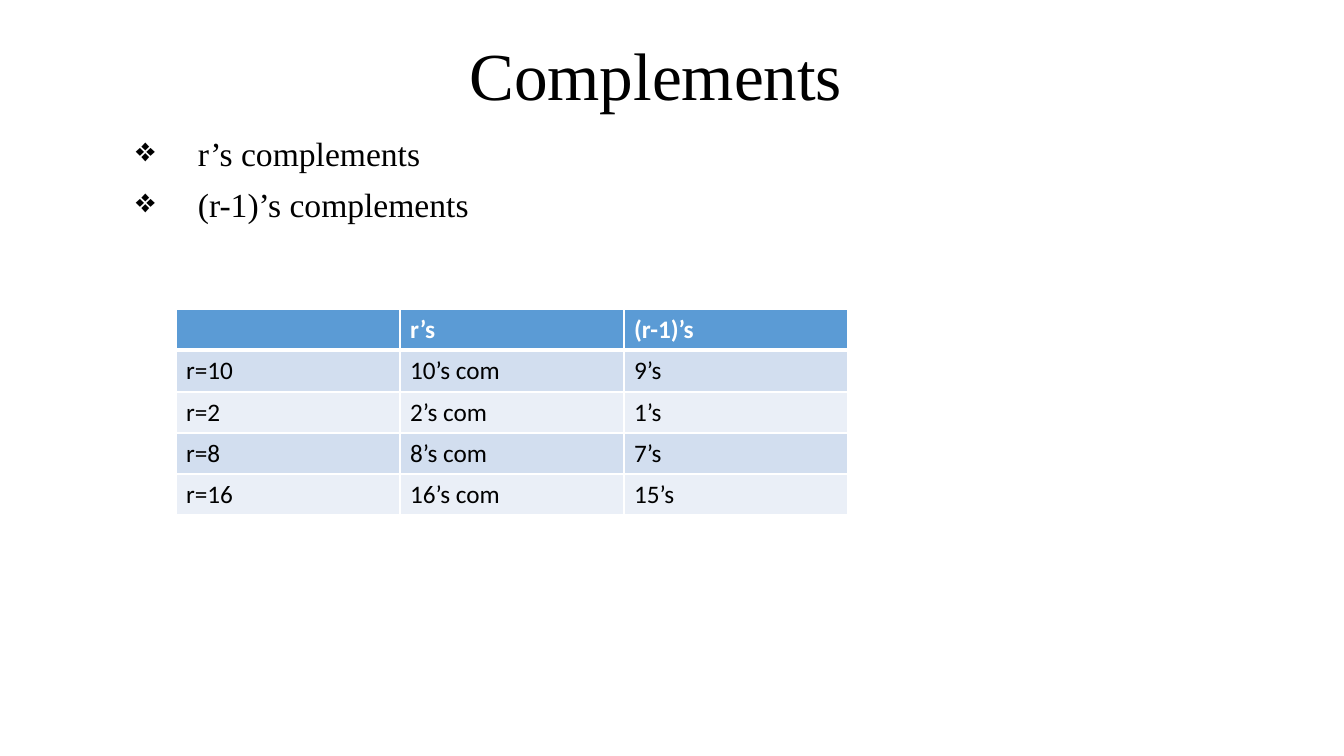
from pptx import Presentation
from pptx.dml.color import RGBColor
from pptx.enum.text import MSO_ANCHOR, PP_ALIGN
from pptx.oxml import parse_xml
from pptx.oxml.ns import nsdecls
from pptx.util import Pt

PX = 914400 / 100.8


def px(length):
    return round(length * PX)


def style(paragraph, font_name, size, color, bold=False):
    font = paragraph.font
    font.name, font.size, font.bold = font_name, Pt(size), bold
    font.color.rgb = RGBColor.from_string(color)


prs = Presentation()
prs.slide_width, prs.slide_height = px(1344), px(756)
slide = prs.slides.add_slide(prs.slide_layouts[6])

# Title
title = slide.shapes.add_textbox(px(152), px(49), px(1008), px(71)).text_frame
title.word_wrap = True
title.vertical_anchor = MSO_ANCHOR.BOTTOM
heading = title.paragraphs[0]
heading.text = "Complements"
heading.alignment = PP_ALIGN.CENTER
heading.line_spacing = 0.9
style(heading, "Times New Roman", 48, "000000")

# Kinds of complement
kinds = slide.shapes.add_textbox(px(126), px(133), px(1108), px(571)).text_frame
kinds.word_wrap = True
for i, text in enumerate(["r’s complements", "(r-1)’s complements"]):
    kind = kinds.add_paragraph() if i else kinds.paragraphs[0]
    kind.text = text
    kind.alignment = PP_ALIGN.JUSTIFY
    kind.line_spacing = 0.9
    if i:
        kind.space_before = Pt(10)
    properties = kind._p.get_or_add_pPr()
    properties.set("marL", str(px(62)))
    properties.set("indent", str(px(-62)))
    properties.append(parse_xml(f'<a:buChar {nsdecls("a")} char="❖"/>'))
    style(kind, "Times New Roman", 24, "000000")

# Complements by radix
radix_rows = [
    ["", "r’s", "(r-1)’s"],
    ["r=10", "10’s com", "9’s"],
    ["r=2", "2’s com", "1’s"],
    ["r=8", "8’s com", "7’s"],
    ["r=16", "16’s com", "15’s"],
]
radix_table = slide.shapes.add_table(5, 3, px(176), px(309), px(672), px(206)).table
for column in radix_table.columns:
    column.width = px(224)
for row, height in zip(radix_table.rows, [41, 42, 41, 41, 41]):
    row.height = px(height)

for r, values in enumerate(radix_rows):
    header = r == 0
    fill = "5B9BD5" if header else ("EAEFF7", "D2DEEF")[r % 2]
    widths = {"L": 1, "R": 1, "T": 3 if r == 1 else 1, "B": 3 if header else 1}
    for c, value in enumerate(values):
        cell = radix_table.cell(r, c)
        cell.text = value
        style(cell.text_frame.paragraphs[0], "Calibri", 18,
              "FFFFFF" if header else "000000", header)
        # Borders come before the fill in the cell properties
        borders = cell._tc.get_or_add_tcPr()
        for side, width in widths.items():
            borders.append(parse_xml(
                f'<a:ln{side} {nsdecls("a")} w="{Pt(width)}"><a:solidFill>'
                f'<a:srgbClr val="FFFFFF"/></a:solidFill></a:ln{side}>'))
        cell.fill.solid()
        cell.fill.fore_color.rgb = RGBColor.from_string(fill)

prs.save("out.pptx")
